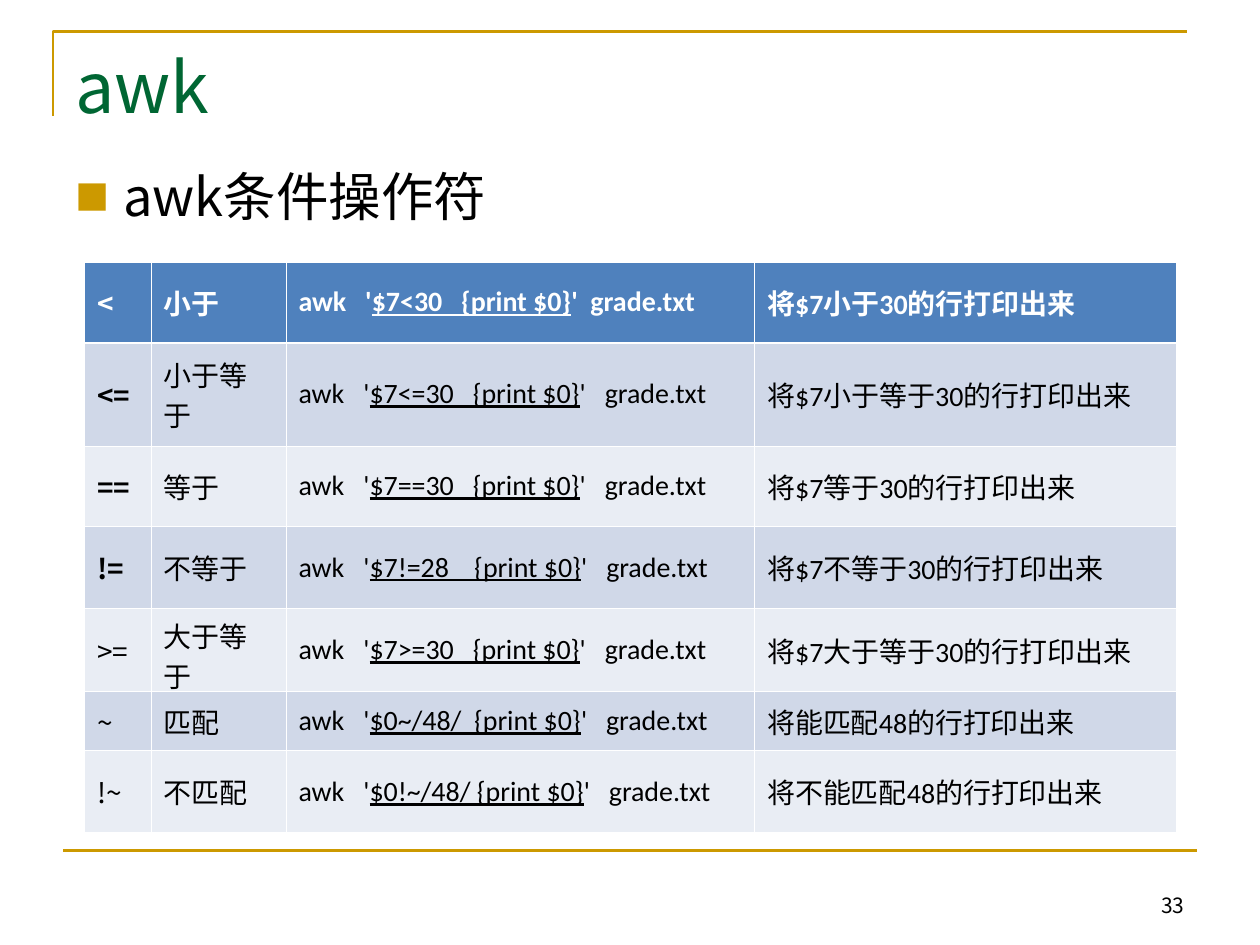
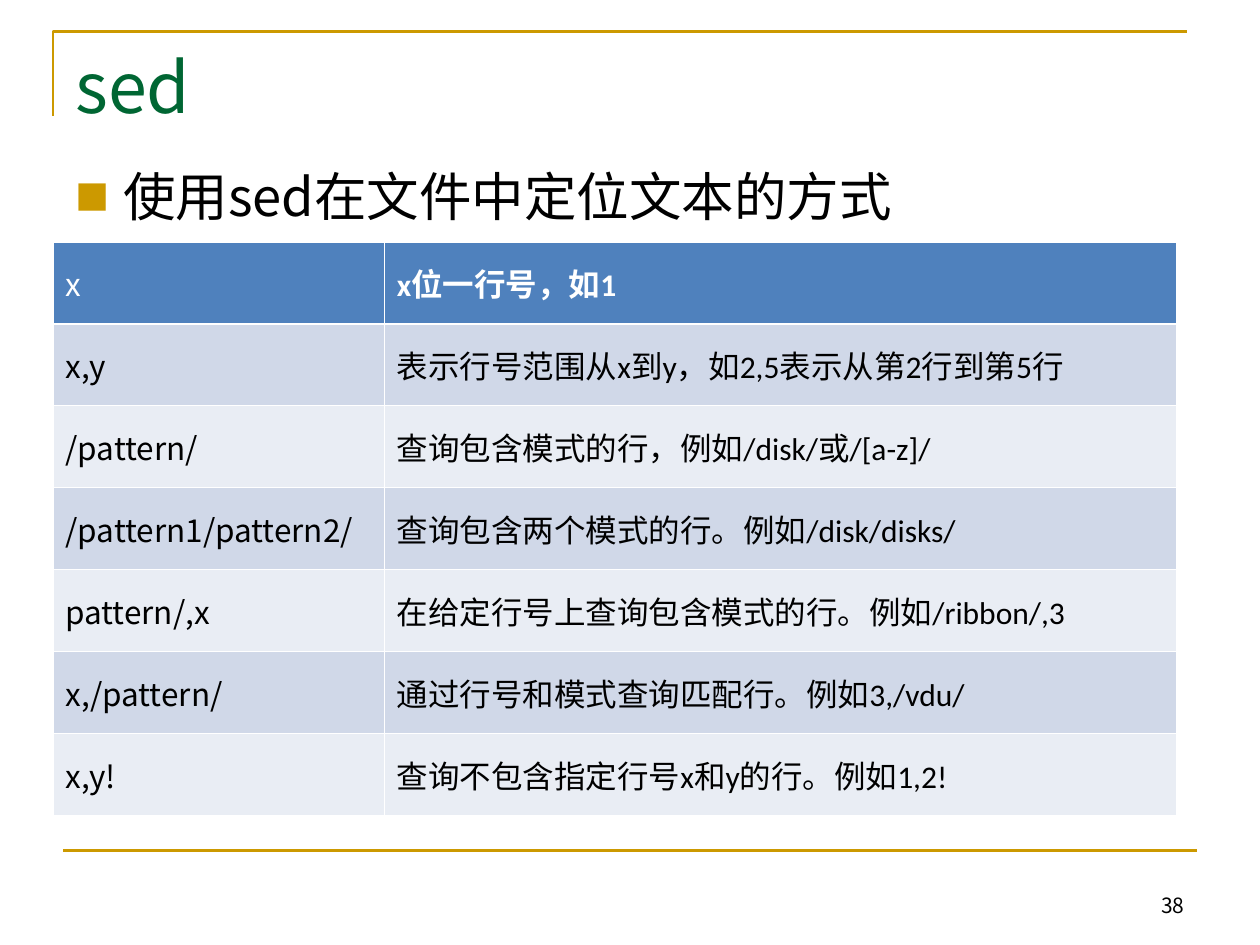
from lxml import etree
from pptx import Presentation
from pptx.dml.color import RGBColor
from pptx.enum.shapes import MSO_CONNECTOR
from pptx.enum.text import MSO_ANCHOR, PP_ALIGN
from pptx.oxml.ns import qn
from pptx.util import Inches, Pt

STRAIGHT = MSO_CONNECTOR.STRAIGHT
TOP, MIDDLE, BOTTOM = MSO_ANCHOR.TOP, MSO_ANCHOR.MIDDLE, MSO_ANCHOR.BOTTOM
LEFT, RIGHT = PP_ALIGN.LEFT, PP_ALIGN.RIGHT

# Shared look
GOLD, GREEN, BLACK, WHITE = "CC9900", "006633", "000000", "FFFFFF"
HEADER_FILL = "4F81BD"
BAND_FILLS = ("E9EDF4", "D0D8E8")
CJK_FONT, LATIN_FONT = "Noto Sans CJK SC", "Calibri"
THIN, THICK = 0.45, 1.47

# Table contents
AWK_ROWS = [
    ("<", "小于", "awk   '$7<30   {print $0}'  grade.txt", "将$7小于30的行打印出来"),
    ("<=", "小于等于", "awk   '$7<=30   {print $0}'   grade.txt", "将$7小于等于30的行打印出来"),
    ("==", "等于", "awk   '$7==30   {print $0}'   grade.txt", "将$7等于30的行打印出来"),
    ("!=", "不等于", "awk   '$7!=28    {print $0}'   grade.txt", "将$7不等于30的行打印出来"),
    (">=", "大于等于", "awk   '$7>=30   {print $0}'   grade.txt", "将$7大于等于30的行打印出来"),
    ("~", "匹配", "awk   '$0~/48/  {print $0}'   grade.txt", "将能匹配48的行打印出来"),
    ("!~", "不匹配", "awk   '$0!~/48/ {print $0}'   grade.txt", "将不能匹配48的行打印出来"),
]
SED_ROWS = [
    ("x", "x位一行号，如1"),
    ("x,y", "表示行号范围从x到y，如2,5表示从第2行到第5行"),
    ("/pattern/", "查询包含模式的行，例如/disk/或/[a-z]/"),
    ("/pattern1/pattern2/", "查询包含两个模式的行。例如/disk/disks/"),
    ("pattern/,x", "在给定行号上查询包含模式的行。例如/ribbon/,3"),
    ("x,/pattern/", "通过行号和模式查询匹配行。例如3,/vdu/"),
    ("x,y!", "查询不包含指定行号x和y的行。例如1,2!"),
]


def rgb(hex_color):
    return RGBColor.from_string(hex_color)


def add_element(parent, tag, **attributes):
    return etree.SubElement(parent, qn(tag), attributes)


def write_text(text_frame, text, size=16, color=BLACK, font=CJK_FONT, bold=False,
               align=LEFT, anchor=TOP, bullet=False):
    """Write one paragraph; a part between single quotes is underlined."""
    text_frame.word_wrap = True
    text_frame.vertical_anchor = anchor
    paragraph = text_frame.paragraphs[0]
    paragraph.alignment = align
    if bullet:
        add_bullet(paragraph)
    before, quote, rest = text.partition("'")
    quoted, end_quote, after = rest.partition("'")
    for part, underline in ((before + quote, False), (quoted, True), (end_quote + after, False)):
        if not part:
            continue
        run = paragraph.add_run()
        run.text = part
        run.font.size = Pt(size)
        run.font.bold = bold
        run.font.underline = underline
        run.font.color.rgb = rgb(color)
        run.font.name = font
        add_element(run.font._element, "a:ea", typeface=CJK_FONT)


def add_bullet(paragraph):
    properties = paragraph._p.get_or_add_pPr()
    properties.set("marL", str(Inches(0.38)))
    properties.set("indent", str(-Inches(0.38)))
    add_element(add_element(properties, "a:buClr"), "a:srgbClr", val=GOLD)
    add_element(properties, "a:buSzPct", val="65000")
    add_element(properties, "a:buFont", typeface=CJK_FONT)
    add_element(properties, "a:buChar", char="■")


def add_text(slide, text, left, top, width, height, **text_format):
    box = slide.shapes.add_textbox(Inches(left), Inches(top), Inches(width), Inches(height))
    write_text(box.text_frame, text, **text_format)


def style_line(shape):
    shape.line.color.rgb = rgb(GOLD)
    shape.line.width = Pt(1.5)


def add_frame_lines(slide):
    # Corner rule around the title
    builder = slide.shapes.build_freeform(Inches(0.42), Inches(0.92))
    builder.add_line_segments(
        [(Inches(0.42), Inches(0.25)), (Inches(9.42), Inches(0.25))], close=False)
    corner = builder.convert_to_shape()
    corner.shadow.inherit = False
    corner.fill.background()
    style_line(corner)

    # Footer rule
    footer = slide.shapes.add_connector(
        STRAIGHT, Inches(0.5), Inches(6.75), Inches(9.5), Inches(6.75))
    style_line(footer)
    add_element(footer._element.spPr, "a:effectLst")


def set_borders(cell, top, bottom):
    properties = cell._tc.get_or_add_tcPr()
    for side, width in (("L", THIN), ("R", THIN), ("T", top), ("B", bottom)):
        line = add_element(properties, f"a:ln{side}", w=str(Pt(width)))
        add_element(add_element(line, "a:solidFill"), "a:srgbClr", val=WHITE)


def add_banded_table(slide, rows, left, top, widths, heights, size, bold_texts):
    table = slide.shapes.add_table(
        len(rows), len(widths), Inches(left), Inches(top),
        Inches(sum(widths)), Inches(sum(heights))).table
    table.horz_banding = False
    for column, width in zip(table.columns, widths):
        column.width = Inches(width)
    for row_index, (values, height) in enumerate(zip(rows, heights)):
        table.rows[row_index].height = Inches(height)
        is_header = row_index == 0
        for column_index, value in enumerate(values):
            cell = table.cell(row_index, column_index)
            set_borders(cell, THICK if row_index == 1 else THIN, THICK if is_header else THIN)
            cell.fill.solid()
            cell.fill.fore_color.rgb = rgb(HEADER_FILL if is_header else BAND_FILLS[row_index % 2])
            cell.vertical_anchor = MIDDLE
            is_key = column_index == 0
            write_text(cell.text_frame, value, size=size,
                       color=WHITE if is_header else BLACK,
                       font=CJK_FONT if is_key else LATIN_FONT,
                       bold=value in bold_texts if is_key else is_header,
                       anchor=None)


def add_content_slide(presentation, title, heading, number):
    slide = presentation.slides.add_slide(presentation.slide_layouts[6])
    add_frame_lines(slide)
    add_text(slide, number, 7.17, 6.83, 2.33, 0.5, size=12, align=RIGHT, anchor=BOTTOM)
    add_text(slide, title, 0.5, 0.3, 9, 1.25, size=40, color=GREEN)
    add_text(slide, heading, 0.5, 1.25, 9, 5.42, size=30, bullet=True)
    return slide


def main():
    presentation = Presentation()
    presentation.slide_width = Inches(10)
    presentation.slide_height = Inches(7.5)

    # awk operators
    awk_slide = add_content_slide(presentation, "awk", "awk条件操作符", "33")
    add_banded_table(awk_slide, AWK_ROWS, 0.67, 2.08, widths=(0.53, 1.07, 3.72, 3.35),
                     heights=(0.64, 0.82, 0.64, 0.65, 0.66, 0.47, 0.65), size=16,
                     bold_texts=("<", "<=", "==", "!="))

    # sed addressing
    sed_slide = add_content_slide(presentation, "sed", "使用sed在文件中定位文本的方式", "38")
    add_banded_table(sed_slide, SED_ROWS, 0.42, 1.92, widths=(2.63, 6.29),
                     heights=(0.65,) * len(SED_ROWS), size=18, bold_texts=())

    presentation.save("out.pptx")


if __name__ == "__main__":
    main()
